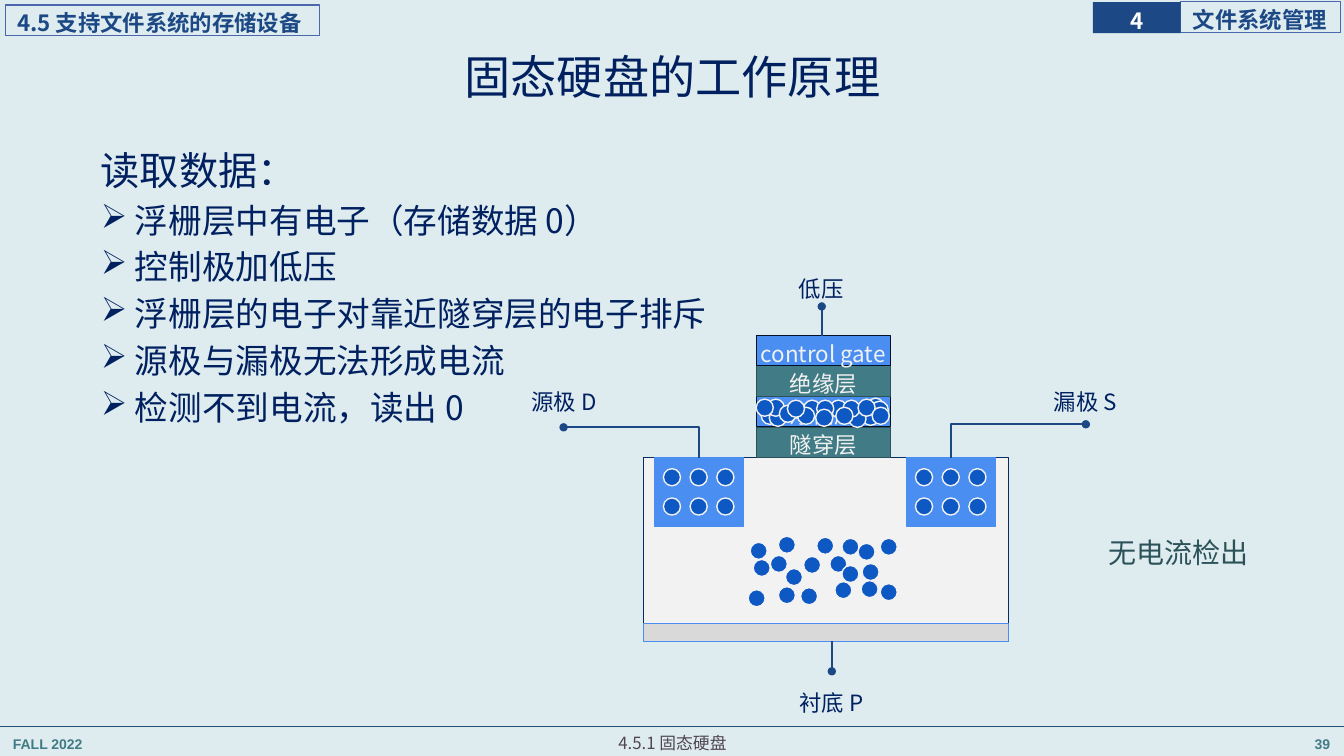
from lxml import etree
from pptx import Presentation
from pptx import util as u
from pptx.dml.color import RGBColor
from pptx.enum import shapes, text
from pptx.oxml.ns import qn

SANS = "Noto Sans CJK SC"
INK = {
    "back": "DEECEF", "navy": "002060", "head": "1C4885", "edge": "4A66AC",
    "teal": "417B85", "deep": "2B5259", "blue": "4A8EF2", "dark": "031227",
    "rule": "234F77", "pale": "F2F2F2", "grey": "D9D9D9", "body": "072C62",
    "dot": "0E58C4", "foot": "504652", "white": "FFFFFF",
}
ALIGN = {
    "l": text.PP_ALIGN.LEFT, "c": text.PP_ALIGN.CENTER,
    "r": text.PP_ALIGN.RIGHT, "j": text.PP_ALIGN.JUSTIFY,
}
DOT = 0.17
SIDE_W, SIDE_H = 0.88, 0.68
TOP = 4.54  # upper edge of the substrate


def ink(name):
    return RGBColor.from_string(INK[name])


class Deck:
    """Holds the presentation, its current slide and the text style."""

    def __init__(self):
        self.prs = Presentation()
        self.prs.slide_width = u.Inches(13.33)
        self.prs.slide_height = u.Inches(7.5)
        self.slide = self.prs.slides.add_slide(self.prs.slide_layouts[6])
        fill = self.slide.background.fill
        fill.solid()
        fill.fore_color.rgb = ink("back")

    def fill_in(self, para, words, size, color, align="c", bold=False,
                font=SANS, lead=1.2, before=None, after=None):
        """Put one formatted run into a paragraph."""
        gap = size * 0.1
        form = {
            "alignment": ALIGN[align], "line_spacing": lead,
            "space_before": u.Pt(gap if before is None else before),
            "space_after": u.Pt(gap if after is None else after),
        }
        for key, value in form.items():
            setattr(para, key, value)
        run = para.add_run()
        run.text = words
        for key, value in {"size": u.Pt(size), "bold": bold, "name": font}.items():
            setattr(run.font, key, value)
        run.font.color.rgb = ink(color)
        etree.SubElement(run.font._element, qn("a:ea"), typeface=font)

    def frame(self, shape, inset, anchor, wrap=True):
        """Set the margins (left, top, right, bottom) and anchor of a shape's text."""
        frame = shape.text_frame
        frame.word_wrap = wrap
        frame.vertical_anchor = anchor
        for side, size in zip(("left", "top", "right", "bottom"), inset):
            setattr(frame, "margin_" + side, u.Inches(size))
        return frame

    def label(self, box, words, size=16, color="navy", anchor=text.MSO_ANCHOR.TOP,
              inset=(0.1, 0.05, 0.1, 0.05), **form):
        shape = self.slide.shapes.add_textbox(*map(u.Inches, box))
        frame = self.frame(shape, inset, anchor)
        self.fill_in(frame.paragraphs[0], words, size, color, **form)
        return frame

    def bullet(self, frame, words, size, color):
        para = frame.add_paragraph()
        self.fill_in(para, words, size, color, align="l", lead=0.9, before=7.5, after=0)
        props = para._p.get_or_add_pPr()
        indent = u.Inches(0.19)
        props.set("marL", str(indent))
        props.set("indent", str(-indent))
        etree.SubElement(props, qn("a:buChar"), char="➢")

    def shape(self, kind, box, fill=None, line=None, width=0.75):
        shape = self.slide.shapes.add_shape(kind, *map(u.Inches, box))
        shape.shadow.inherit = False
        for part, color in ((shape.fill, fill), (shape.line.fill, line)):
            if color:
                part.solid()
                part.fore_color.rgb = ink(color)
            else:
                part.background()
        if line:
            shape.line.width = u.Pt(width)
        return shape

    def rect(self, box, fill=None, line=None):
        return self.shape(shapes.MSO_SHAPE.RECTANGLE, box, fill, line)

    def plate(self, box, words, fill, line, color="pale", inset=0, wrap=True, **form):
        """Add a rectangle with one line of text."""
        shape = self.rect(box, fill, line)
        frame = self.frame(shape, (inset, 0, 0, 0), text.MSO_ANCHOR.MIDDLE, wrap)
        self.fill_in(frame.paragraphs[0], words, 16, color, **form)

    def dots(self, spots):
        for x, y in spots:
            self.shape(shapes.MSO_SHAPE.OVAL, (x, y, DOT, DOT), "dot", "pale", 1)

    def line(self, start, end, color="head", width=1.25, oval=True, bend=None, join=None):
        """Add a connector; join is the shape whose top middle it starts from."""
        kind = shapes.MSO_CONNECTOR.STRAIGHT if bend is None else shapes.MSO_CONNECTOR.ELBOW
        wire = self.slide.shapes.add_connector(kind, *map(u.Inches, start + end))
        wire.line.width = u.Pt(width)
        wire.line.color.rgb = ink(color)
        if join is not None:
            wire.begin_connect(join, 0)
        props = wire._element.spPr
        if oval:
            etree.SubElement(wire.line._get_or_add_ln(), qn("a:tailEnd"), type="oval")
        if bend is not None:
            guides = props.find(qn("a:prstGeom")).find(qn("a:avLst"))
            etree.SubElement(guides, qn("a:gd"), name="adj1", fmla=f"val {bend}")
        etree.SubElement(props, qn("a:effectLst"))

    def pole(self, left):
        """Add a source or drain block with its two rows of electrons."""
        block = self.rect((left, TOP, SIDE_W, SIDE_H), "blue", "blue")
        self.dots((left + 0.09 + col * 0.265, TOP + 0.11 + row * 0.29)
                  for row in range(2) for col in range(3))
        return block


FREE = [
    (7.94, 5.83), (8.55, 5.59), (8.51, 5.39), (8.23, 5.51), (8.73, 5.34),
    (7.42, 5.85), (7.97, 5.52), (7.79, 5.64), (7.64, 5.51), (7.47, 5.55),
    (7.44, 5.38), (8.28, 5.77), (8.54, 5.76), (8.35, 5.61), (8.1, 5.33),
    (7.72, 5.82), (8.35, 5.34), (7.72, 5.32), (8.73, 5.79),
]
HELD = [
    (7.55, 4.04), (8.55, 4.05), (8.6, 3.95), (8.23, 3.97), (8.64, 3.98),
    (7.63, 4.06), (7.97, 3.97), (7.91, 4.04), (7.61, 3.96), (7.73, 4.02),
    (7.5, 3.96), (8.42, 4.07), (8.36, 3.97), (8.29, 4.04), (8.1, 3.97),
    (8.09, 4.06), (8.51, 3.96), (7.81, 3.97), (8.65, 4.04),
]
STEPS = ["浮栅层中有电子（存储数据 0）", "控制极加低压", "浮栅层的电子对靠近隧穿层的电子排斥",
         "源极与漏极无法形成电流", "检测不到电流，读出 0"]
LAYERS = [("隧穿层", "teal", "deep"), ("浮栅层", "blue", "dark"),
          ("绝缘层", "teal", "deep"), ("control gate", "blue", "dark")]


def main():
    deck = Deck()

    # Header and footer
    for left, words, align in ((0.03, "FALL 2022", "l"), (10.51, "39", "r")):
        deck.label((left, 7.21, 2.78, 0.31), words, 10, "teal",
                   align=align, bold=True, font="Arial")
    deck.plate((11.71, 0.02, 1.59, 0.3), "文件系统管理", None, "edge", "head",
               inset=0.12, align="j", bold=True)
    deck.plate((10.84, 0.02, 0.87, 0.31), "4", "head", None, "white",
               wrap=False, bold=True)
    deck.line((-0.03, 7.21), (13.33, 7.21), "rule", 0.5, oval=False)
    deck.plate((0.05, 0.05, 3.12, 0.3), "4.5 支持文件系统的存储设备", None, "edge", "head",
               inset=0.12, align="l", bold=True)

    # Title and steps
    tight = (0.08, 0.04, 0.08, 0.04)
    body = deck.label((0.92, 1.46, 11.5, 5.64), "读取数据：", 28, inset=tight,
                      align="l", lead=0.9, before=7.5, after=0)
    for step in STEPS:
        deck.bullet(body, " " + step, 24, "navy")
    deck.label((0.92, 0.4, 11.5, 0.77), "固态硬盘的工作原理", 33, inset=tight,
               anchor=text.MSO_ANCHOR.MIDDLE, lead=0.9, before=0, after=0)
    deck.label((1.67, 7.18, 10, 0.32), "4.5.1 固态硬盘", 12, "foot")

    # Transistor
    deck.rect((6.38, TOP, 3.62, 1.82), "pale", "body")
    drain = deck.pole(8.99)
    deck.rect((6.38, 6.19, 3.62, 0.17), "grey", "blue")
    source = deck.pole(6.49)
    for rank, (words, fill, line) in enumerate(LAYERS, 1):
        deck.plate((7.5, TOP - rank * 0.303, 1.33, 0.3), words, fill, line)
    deck.dots(FREE + HELD)

    # Terminals
    deck.line((8.15, 3.33), (8.15, 3.04))
    deck.line((8.25, 6.36), (8.25, 6.66))
    deck.line((9.43, TOP), (10.77, 4.21), bend=0, join=drain)
    deck.line((6.93, TOP), (5.59, 4.24), bend=0, join=source)
    for left, top, width, words in ((7.33, 2.63, 1.63, "低压"), (7.65, 6.73, 1.19, "衬底 P"),
                                    (5, 3.75, 1.19, "源极 D"), (10.17, 3.75, 1.19, "漏极 S")):
        deck.label((left, top, width, 0.4), words)
    deck.label((10.34, 5.2, 2.7, 0.47), "无电流检出", 20, "deep")

    deck.prs.save("out.pptx")


if __name__ == "__main__":
    main()
